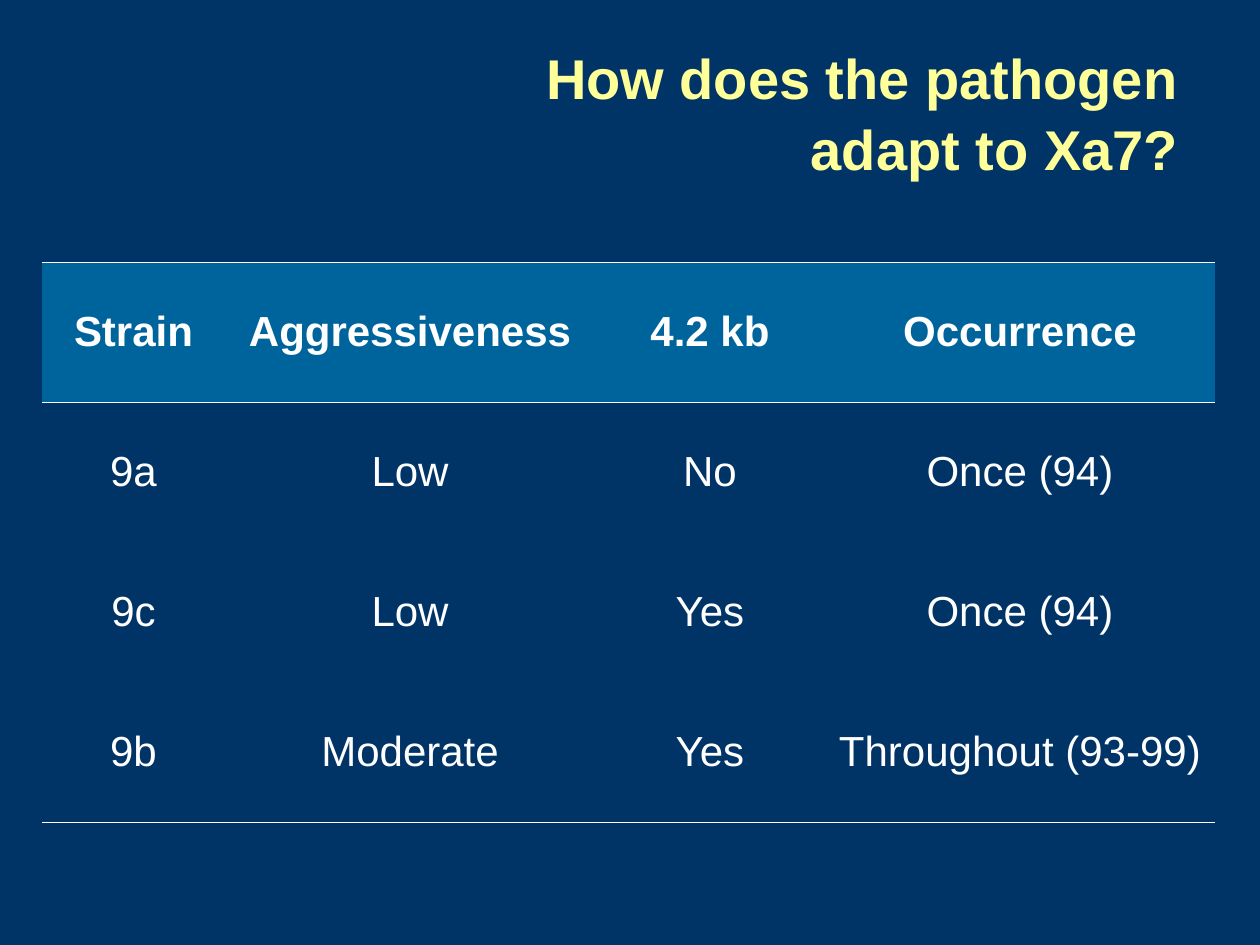
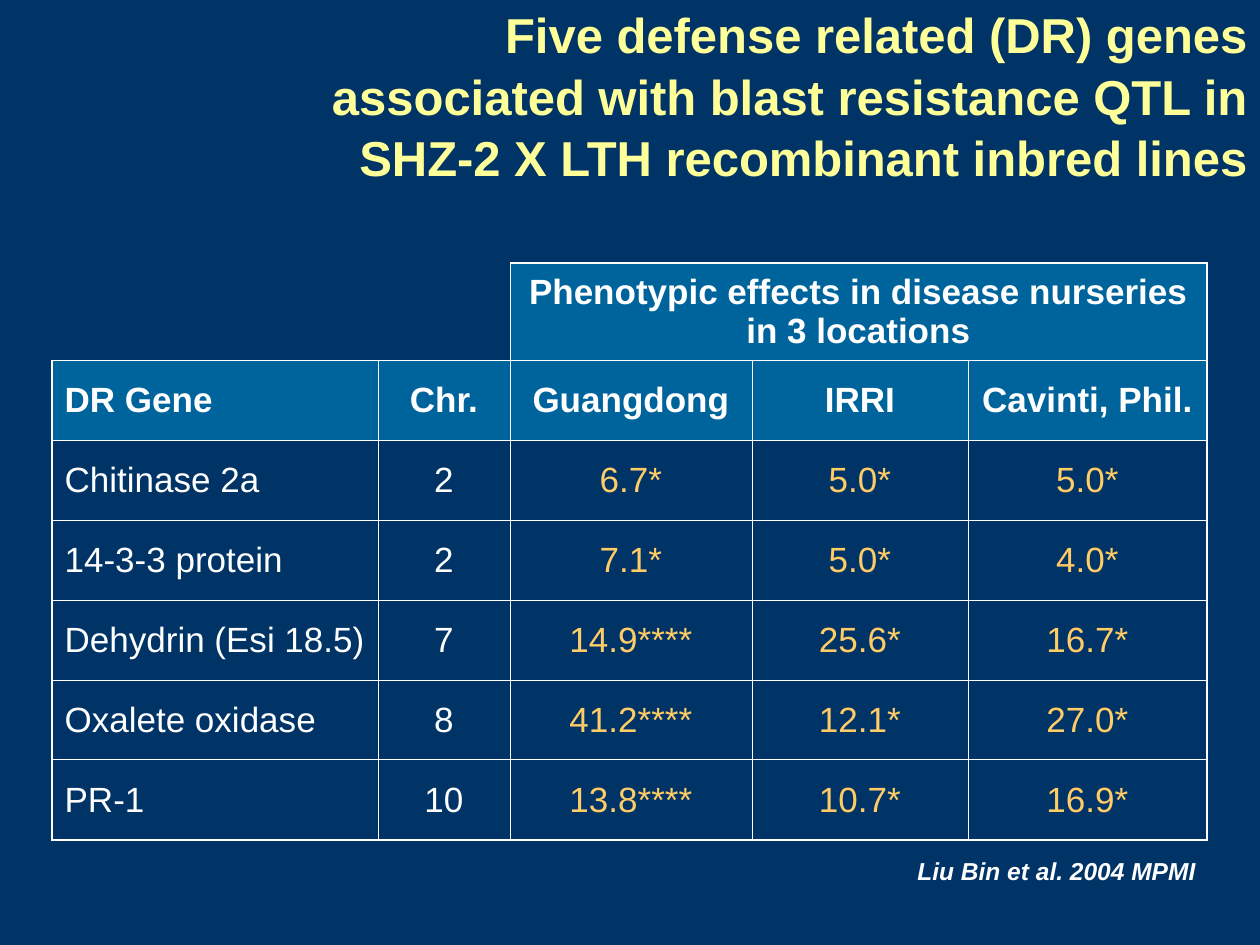
from lxml.etree import SubElement
from pptx import Presentation
from pptx.dml.color import RGBColor
from pptx.enum.text import MSO_ANCHOR, MSO_AUTO_SIZE, PP_ALIGN
from pptx.oxml.ns import qn
from pptx.util import Emu, Pt

EMU_PER_PX = 914400 / 126
FONT = "Arial"
COLORS = {
    "background": "003366",
    "header": "00649C",
    "title": "FFFF99",
    "text": "FFFFFF",
    "effect": "FFCC66",
}
SIDES = {"left": "a:lnL", "right": "a:lnR", "top": "a:lnT", "bottom": "a:lnB"}
THIN, THICK = 0.45, 1.08
TITLE_ONLY = 5


def px(length):
    return Emu(round(length * EMU_PER_PX))


def color(name):
    return RGBColor.from_string(COLORS[name])


def write(frame, text, size, ink="text", bold=False, italic=False,
          align=PP_ALIGN.LEFT, spacing=None):
    paragraph = frame.paragraphs[0]
    paragraph.alignment = align
    paragraph.line_spacing = spacing
    span = paragraph.add_run()
    span.text = text
    span.font.name = FONT
    span.font.size = Pt(size)
    span.font.bold = bold
    span.font.italic = italic
    span.font.color.rgb = color(ink)


class SlideWriter:
    def __init__(self, deck):
        self.deck = deck
        self.page = None
        background = deck.slide_master.background.fill
        background.solid()
        background.fore_color.rgb = color("background")

    def new_page(self):
        self.page = self.deck.slides.add_slide(self.deck.slide_layouts[TITLE_ONLY])

    def title(self, text, left, top, width, height, size):
        box = self.page.shapes.title
        box.left, box.top, box.width, box.height = map(px, (left, top, width, height))
        frame = box.text_frame
        frame.word_wrap = True
        frame.auto_size = MSO_AUTO_SIZE.NONE
        frame.vertical_anchor = MSO_ANCHOR.MIDDLE
        write(frame, text, size, ink="title", bold=True, align=PP_ALIGN.RIGHT, spacing=1.05)

    def citation(self, text, left, top, width, height):
        box = self.page.shapes.add_textbox(*map(px, (left, top, width, height)))
        box.text_frame.word_wrap = False
        box.text_frame.auto_size = MSO_AUTO_SIZE.SHAPE_TO_FIT_TEXT
        write(box.text_frame, text, 14, bold=True, italic=True)

    def borders(self, cell, widths):
        properties = cell._tc.get_or_add_tcPr()
        for side, tag in SIDES.items():
            width = widths.get(side, 0)
            line = SubElement(properties, qn(tag), w=str(int(Pt(width))))
            if width:
                fill = SubElement(line, qn("a:solidFill"))
                SubElement(fill, qn("a:srgbClr"), val=COLORS["text"])
            else:
                SubElement(line, qn("a:noFill"))

    def table(self, left, top, widths, heights, rows, size, edges,
              header_rows=1, merges=(), left_columns=(), effect_columns=()):
        table = self.page.shapes.add_table(
            len(rows), len(widths),
            *map(px, (left, top, sum(widths), sum(heights)))).table
        table.horz_banding = table.first_row = False
        for column, width in zip(table.columns, widths):
            column.width = px(width)
        for row, height in zip(table.rows, heights):
            row.height = px(height)
        for row, first, last in merges:
            table.cell(row, first).merge(table.cell(row, last))
        for r, texts in enumerate(rows):
            is_header = r < header_rows
            for c, text in enumerate(texts):
                cell = table.cell(r, c)
                cell.vertical_anchor = MSO_ANCHOR.MIDDLE
                self.borders(cell, edges(r, c))
                if is_header and text:
                    cell.fill.solid()
                    cell.fill.fore_color.rgb = color("header")
                else:
                    cell.fill.background()
                if text:
                    is_effect = c in effect_columns and not is_header
                    write(cell.text_frame, text, size, bold=is_header,
                          ink="effect" if is_effect else "text",
                          align=PP_ALIGN.LEFT if c in left_columns else PP_ALIGN.CENTER)


def strain_slide(writer):
    rows = [
        ("Strain", "Aggressiveness", "4.2 kb", "Occurrence"),
        ("9a", "Low", "No", "Once (94)"),
        ("9c", "Low", "Yes", "Once (94)"),
        ("9b", "Moderate", "Yes", "Throughout (93-99)"),
    ]
    last_row = len(rows) - 1

    def edges(r, c):
        return {"top": THIN if r <= 1 else 0,
                "bottom": THIN if r in (0, last_row) else 0}

    writer.new_page()
    writer.title("How does the pathogen adapt to Xa7?", 511, 32, 680, 158, 32)
    writer.table(42, 262, [183, 370, 230, 390], [140] * len(rows), rows, 24, edges)


def gene_slide(writer):
    rows = [
        ("", "", "Phenotypic effects in disease nurseries in 3 locations", "", ""),
        ("DR Gene", "Chr.", "Guangdong", "IRRI", "Cavinti, Phil."),
        ("Chitinase 2a", "2", "6.7*", "5.0*", "5.0*"),
        ("14-3-3 protein", "2", "7.1*", "5.0*", "4.0*"),
        ("Dehydrin (Esi 18.5)", "7", "14.9****", "25.6*", "16.7*"),
        ("Oxalete oxidase", "8", "41.2****", "12.1*", "27.0*"),
        ("PR-1", "10", "13.8****", "10.7*", "16.9*"),
    ]
    last_row, last_column = len(rows) - 1, len(rows[0]) - 1

    def edges(r, c):
        if r == 0 and c < 2:
            return {"right": THIN, "bottom": THIN}
        return {"left": THICK if c == 0 else THIN,
                "right": THICK if c == last_column or (r == 0 and c == 2) else THIN,
                "top": THICK if r == 0 else THIN,
                "bottom": THICK if r == last_row else THIN}

    writer.new_page()
    writer.title("Five defense related (DR) genes associated with blast resistance "
                 "QTL in SHZ-2 X LTH recombinant inbred lines", 273, 15, 987, 158, 28)
    writer.table(52, 263, [326, 132, 242, 216, 239], [97] + [80] * last_row, rows, 20,
                 edges, header_rows=2, merges=[(0, 0, 1), (0, 2, last_column)],
                 left_columns=(0,), effect_columns=(2, 3, 4))
    writer.citation("Liu Bin et al. 2004 MPMI", 905, 850, 304, 43)


def main():
    deck = Presentation()
    deck.slide_width, deck.slide_height = px(1260), px(945)
    writer = SlideWriter(deck)
    strain_slide(writer)
    gene_slide(writer)
    deck.save("out.pptx")


if __name__ == "__main__":
    main()
